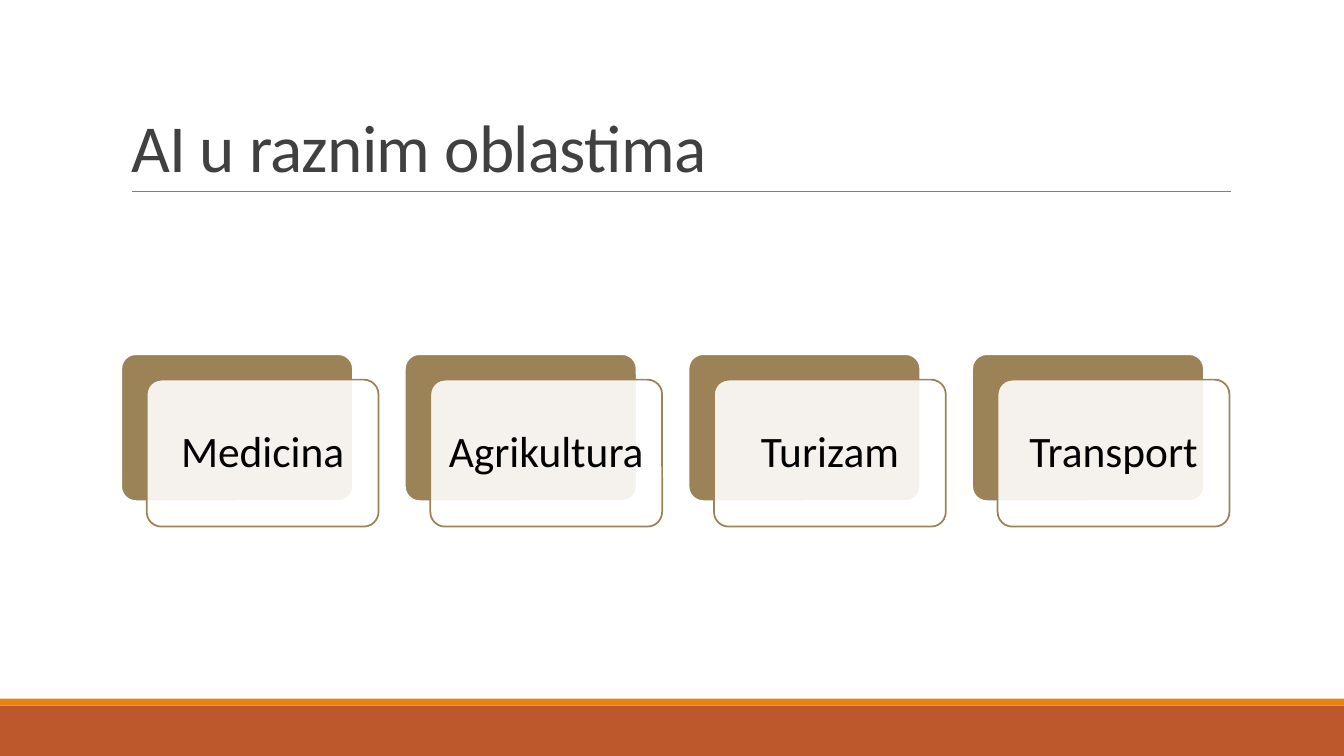
from lxml import etree
from pptx import Presentation
from pptx.dml.color import RGBColor
from pptx.enum.shapes import MSO_CONNECTOR as Connector, MSO_SHAPE as Shape
from pptx.enum.text import MSO_ANCHOR as Anchor, MSO_AUTO_SIZE as AutoSize, PP_ALIGN as Align
from pptx.oxml.ns import qn
from pptx.util import Pt


def color(hex_code):
    return RGBColor.from_string(hex_code)


def write(frame, text, *, size, ink, font, align, anchor, line_spacing, inset=None, tracking=None):
    frame.word_wrap = True
    frame.auto_size = AutoSize.NONE
    frame.vertical_anchor = anchor
    if inset is not None:
        frame.margin_left = frame.margin_right = Pt(inset)
        frame.margin_top = frame.margin_bottom = Pt(inset)
    paragraph = frame.paragraphs[0]
    paragraph.alignment = align
    paragraph.line_spacing = line_spacing
    run = paragraph.add_run()
    run.text = text
    run.font.name = font
    run.font.size = Pt(size)
    run.font.color.rgb = color(ink)
    if tracking is not None:
        run.font._element.set("spc", str(round(tracking * 100)))


class FieldSlide:
    FONT = "Calibri"
    WHITE, BLACK, HEADING = "FFFFFF", "000000", "404040"
    RULE, RUST, ORANGE, TAN = "808080", "BD582C", "E48312", "9B8357"

    def __init__(self, deck):
        self.slide = deck.slides.add_slide(deck.slide_layouts[5])

    def title(self, text, left, top, width, height):
        heading = self.slide.shapes.title
        heading.left, heading.top = Pt(left), Pt(top)
        heading.width, heading.height = Pt(width), Pt(height)
        write(heading.text_frame, text, size=48, ink=self.HEADING, font=self.FONT,
              align=Align.LEFT, anchor=Anchor.BOTTOM, line_spacing=0.85, tracking=-0.5)

    def box(self, kind, left, top, width, height, fill, line=None, opacity=None):
        box = self.slide.shapes.add_shape(kind, Pt(left), Pt(top), Pt(width), Pt(height))
        box.shadow.inherit = False
        box.fill.solid()
        box.fill.fore_color.rgb = color(fill)
        if opacity is not None:
            tint = box.fill._xPr.find(qn("a:solidFill"))[0]
            etree.SubElement(tint, qn("a:alpha")).set("val", str(opacity * 1000))
        if line:
            box.line.color.rgb = color(line)
            box.line.width = Pt(1.25)
        else:
            box.line.fill.background()
        return box

    def rule(self, left, right, y):
        rule = self.slide.shapes.add_connector(Connector.STRAIGHT, Pt(left), Pt(y), Pt(right), Pt(y))
        rule.line.color.rgb = color(self.RULE)
        rule.line.width = Pt(0.5)
        etree.SubElement(rule._element.spPr, qn("a:effectLst"))

    def card(self, label, left, top, width, height, offset):
        back = self.box(Shape.ROUNDED_RECTANGLE, left, top, width, height, self.TAN, self.WHITE)
        front = self.box(Shape.ROUNDED_RECTANGLE, left + offset, top + offset, width, height,
                         self.WHITE, self.TAN, opacity=90)
        for layer in (back, front):
            layer.adjustments[0] = 0.1
        write(front.text_frame, label, size=31, ink=self.BLACK, font=self.FONT,
              align=Align.CENTER, anchor=Anchor.MIDDLE, line_spacing=0.9, inset=9)


def main():
    deck = Presentation()
    deck.slide_width, deck.slide_height = Pt(960), Pt(540)
    page = FieldSlide(deck)

    # Footer bands
    page.box(Shape.RECTANGLE, 0, 504, 960, 36, page.RUST)
    page.box(Shape.RECTANGLE, 0, 499, 960, 5, page.ORANGE)

    # Title and its rule
    page.title("AI u raznim oblastima", 86.4, 22.5, 792, 114.25)
    page.rule(94, 879, 136.8)

    # One layered card per field
    fields = ("Medicina", "Agrikultura", "Turizam", "Transport")
    for index, field in enumerate(fields):
        page.card(field, 86.6 + index * 202.6, 253, 165.6, 105, offset=18.2)

    deck.save("out.pptx")


if __name__ == "__main__":
    main()
